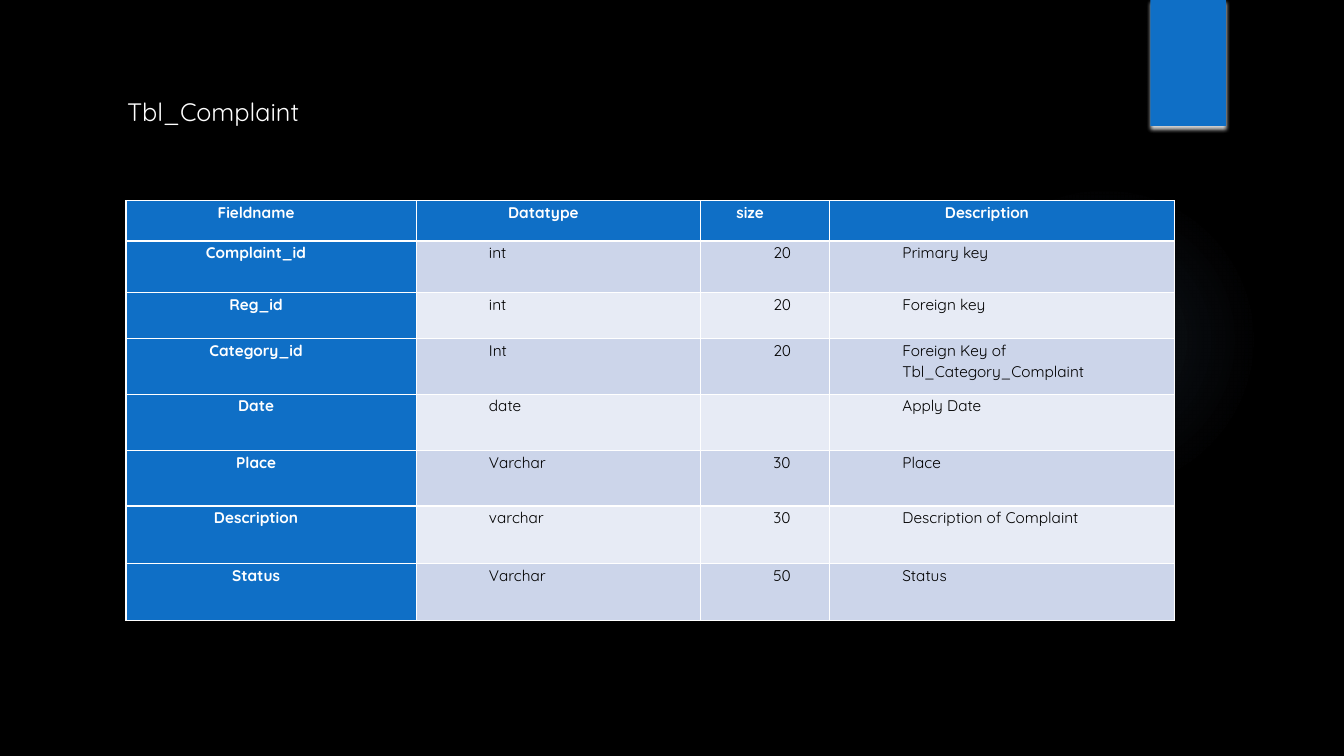
import pptx
import pptx.dml.color
import pptx.enum.shapes
import pptx.enum.text
import pptx.oxml
import pptx.oxml.ns
import pptx.util

Inches = pptx.util.Inches
Pt = pptx.util.Pt
RGB = pptx.dml.color.RGBColor.from_string
MSO_SHAPE = pptx.enum.shapes.MSO_SHAPE
PP_ALIGN = pptx.enum.text.PP_ALIGN

THEME = {
    "font": "Quicksand",
    "background": "000000",
    "accent": "0F6FC6",
    "glow": "82B1E5",
    "bands": ["CCD5EA", "E7EBF5"],
    "light": "FFFFFF",
    "dark": "000000",
    "title_size": 18,
    "table_size": 11,
}
NS = pptx.oxml.ns.nsdecls("a")

COL_WIDTHS = [2.88, 2.82, 1.28, 3.42]
ROW_HEIGHTS = [0.4, 0.51, 0.46, 0.55, 0.56, 0.55, 0.57, 0.57]
ROWS = [
    ["Fieldname", "Datatype", "size", "Description"],
    ["Complaint_id", "int", "20", "Primary key"],
    ["Reg_id", "int", "20", "Foreign key"],
    ["Category_id", "Int", "20", "Foreign Key of\nTbl_Category_Complaint"],
    ["Date", "date", "", "Apply Date"],
    ["Place", "Varchar", "30", "Place"],
    ["Description", "varchar", "30", "Description of Complaint"],
    ["Status", "Varchar", "50", "Status"],
]


def style_run(r, size, color, bold=False):
    r.font.name = THEME["font"]
    r.font.size = Pt(size)
    r.font.bold = bold
    r.font.color.rgb = RGB(color)


def add_plain_shape(s, kind, left, top, width, height):
    sp = s.shapes.add_shape(kind, Inches(left), Inches(top), Inches(width), Inches(height))
    sp.shadow.inherit = False
    sp.line.fill.background()
    sp.fill.solid()
    sp.fill.fore_color.rgb = RGB(THEME["accent"])
    return sp


prs = pptx.Presentation()
prs.slide_width = Inches(13.33)
prs.slide_height = Inches(7.5)
s = prs.slides.add_slide(prs.slide_layouts[5])
s.background.fill.solid()
s.background.fill.fore_color.rgb = RGB(THEME["background"])

title = s.shapes.title
title.left, title.top, title.width, title.height = Inches(1.16), Inches(0.9), Inches(1.95), Inches(0.41)
tf = title.text_frame
tf.text = "Tbl_Complaint"
tf.word_wrap = False
tf.vertical_anchor = pptx.enum.text.MSO_ANCHOR.MIDDLE
p = tf.paragraphs[0]
p.alignment = PP_ALIGN.LEFT
style_run(p.runs[0], THEME["title_size"], THEME["light"])

glow = add_plain_shape(s, MSO_SHAPE.OVAL, 9.41, 1.83, 3.08, 3.08)
stops = "".join(
    f'<a:gs pos="{pos * 1000}"><a:srgbClr val="{THEME["glow"]}"><a:alpha val="{alpha * 1000}"/></a:srgbClr></a:gs>'
    for pos, alpha in [(0, 7), (36, 6), (69, 0)]
)
gradient = pptx.oxml.parse_xml(
    f'<a:gradFill {NS}><a:gsLst>{stops}</a:gsLst><a:path path="circle">'
    '<a:fillToRect l="50000" t="50000" r="50000" b="50000"/></a:path></a:gradFill>'
)
solid = glow.element.spPr.find(pptx.oxml.ns.qn("a:solidFill"))
glow.element.spPr.replace(solid, gradient)

tab = add_plain_shape(s, MSO_SHAPE.RECTANGLE, 11.41, 0, 0.75, 1.25)
effects = tab.element.spPr.find(pptx.oxml.ns.qn("a:effectLst"))
effects.append(pptx.oxml.parse_xml(
    f'<a:outerShdw {NS} blurRad="{Pt(3.1)}" dist="{Pt(2)}" dir="5400000" rotWithShape="0">'
    f'<a:srgbClr val="{THEME["light"]}"><a:alpha val="83000"/></a:srgbClr></a:outerShdw>'
))

table = s.shapes.add_table(
    len(ROWS), len(COL_WIDTHS), Inches(1.25), Inches(1.99),
    Inches(sum(COL_WIDTHS)), Inches(sum(ROW_HEIGHTS)),
).table
table.first_col = True
for col, width in zip(table.columns, COL_WIDTHS):
    col.width = Inches(width)
for row, height in zip(table.rows, ROW_HEIGHTS):
    row.height = Inches(height)

for i, texts in enumerate(ROWS):
    for j, text in enumerate(texts):
        heading = i == 0 or j == 0
        cell = table.cell(i, j)
        cell.fill.solid()
        cell.fill.fore_color.rgb = RGB(THEME["accent"] if heading else THEME["bands"][(i - 1) % 2])
        cell.margin_left, cell.margin_top, cell.margin_bottom = Inches(0.07), Inches(0.01), 0
        cell.margin_right = Inches(0.37 if heading else 0.08)
        cell.text_frame.text = text
        for p in cell.text_frame.paragraphs:
            p.line_spacing = 1.07
            p.space_after = Pt(0.2)
            if heading:
                p.alignment = PP_ALIGN.CENTER
            else:
                p.alignment = PP_ALIGN.LEFT
                p._p.get_or_add_pPr().set("marL", str(Inches(0.65)))
            for r in p.runs:
                style_run(r, THEME["table_size"], THEME["light" if heading else "dark"], heading)

prs.save("out.pptx")
